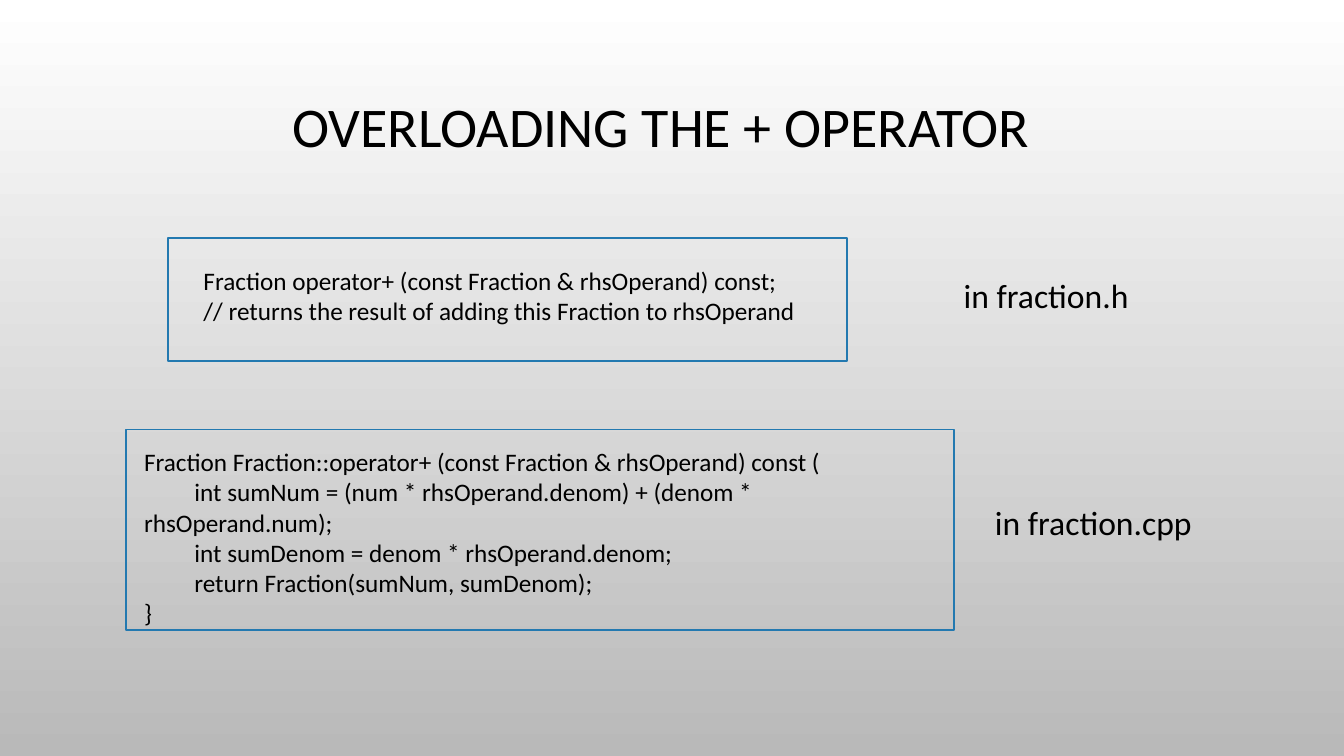
from pptx import Presentation
from pptx.dml.color import RGBColor
from pptx.enum import shapes, text
from pptx.util import Inches, Pt

# Content: boxes are left, top, width, height in inches
TITLE = "OVERLOADING THE + OPERATOR"
TITLE_BOX = (0.89, 0.41, 11.33, 1.75)
HEADER_CODE = [
    "Fraction operator+ (const Fraction & rhsOperand) const;",
    "// returns the result of adding this Fraction to rhsOperand",
]
SOURCE_CODE = [
    "Fraction Fraction::operator+ (const Fraction & rhsOperand) const (",
    "\tint sumNum = (num * rhsOperand.denom) + (denom * rhsOperand.num);",
    "\tint sumDenom = denom * rhsOperand.denom;",
    "\treturn Fraction(sumNum, sumDenom);",
    "}",
]
# Each listing: code, code box, frame, file label, label box
LISTINGS = [
    (HEADER_CODE, (1.92, 2.58, 6.33, 0.71), (1.67, 2.36, 6.73, 1.22),
     "in fraction.h", (9.46, 2.68, 2.76, 0.5)),
    (SOURCE_CODE, (1.33, 4.38, 7.89, 1.62), (1.25, 4.26, 8.21, 1.99),
     "in fraction.cpp", (9.77, 4.93, 2.32, 0.5)),
]
FONT, INK, FRAME = "Calibri", "000000", "2379B0"
BACKGROUND = ("FFFFFF", "B9B9B9")
TAB = Inches(0.5)


def color(value):
    return RGBColor.from_string(value)


def inches(box):
    return [Inches(v) for v in box]


def write(tf, lines, size):
    tf.word_wrap = True
    tf.text = "\n".join(lines)
    for p in tf.paragraphs:
        p._p.get_or_add_pPr().set("defTabSz", str(TAB))
        for r in p.runs:
            r.font.name, r.font.size = FONT, Pt(size)
            r.font.color.rgb = color(INK)


def add_text(s, lines, box, size):
    write(s.shapes.add_textbox(*inches(box)).text_frame, lines, size)


def add_frame(s, box):
    sp = s.shapes.add_shape(shapes.MSO_SHAPE.RECTANGLE, *inches(box))
    sp.shadow.inherit = False
    sp.fill.background()
    sp.line.color.rgb = color(FRAME)
    sp.line.width = Pt(1.25)


def main():
    prs = Presentation()
    prs.slide_width, prs.slide_height = Inches(13.33), Inches(7.5)
    s = prs.slides.add_slide(prs.slide_layouts[5])

    # Background, light at the top
    fill = s.background.fill
    fill.gradient()
    fill.gradient_angle = 270
    for stop, value in zip(fill.gradient_stops, BACKGROUND):
        stop.color.rgb = color(value)

    # Title
    title = s.shapes.title
    title.left, title.top, title.width, title.height = inches(TITLE_BOX)
    tf = title.text_frame
    write(tf, [TITLE], 40)
    tf.vertical_anchor = text.MSO_ANCHOR.MIDDLE
    tf.paragraphs[0].alignment = text.PP_ALIGN.CENTER
    tf.paragraphs[0].line_spacing = 0.9

    # Framed listings with their file labels
    for code, code_box, frame, label, label_box in LISTINGS:
        add_text(s, code, code_box, 18)
        add_frame(s, frame)
        add_text(s, [label], label_box, 24)

    prs.save("out.pptx")


if __name__ == "__main__":
    main()
